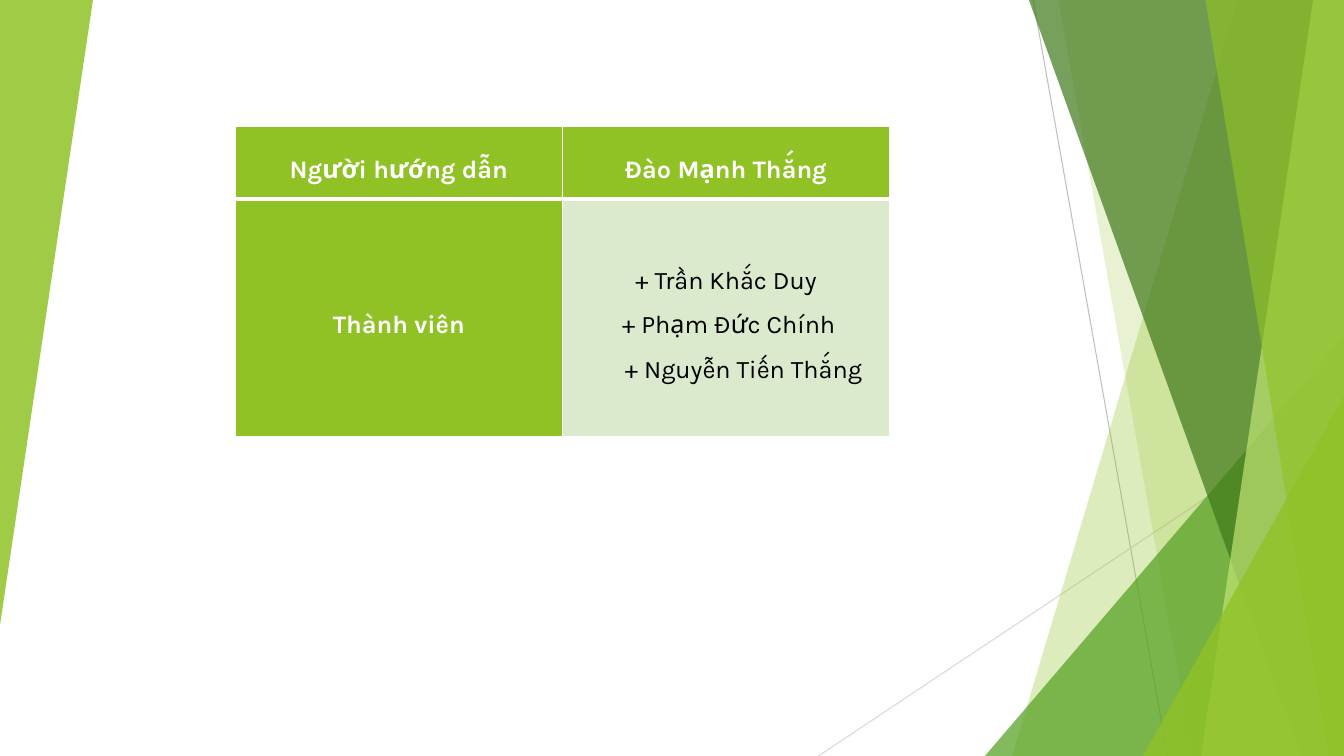
from lxml.etree import SubElement
from pptx import Presentation
from pptx.dml.color import RGBColor
from pptx.enum.shapes import MSO_CONNECTOR, MSO_SHAPE
from pptx.enum.text import MSO_ANCHOR, PP_ALIGN
from pptx.oxml.ns import qn
from pptx.util import Pt

WIDTH, HEIGHT = 960, 540
WHITE = RGBColor(0xFF, 0xFF, 0xFF)
BLACK = RGBColor(0, 0, 0)
LIME = RGBColor(0x90, 0xC2, 0x26)
PALE_LIME = RGBColor(0xC0, 0xE4, 0x74)
GREEN = RGBColor(0x54, 0xA0, 0x21)
DARK_GREEN = RGBColor(0x3F, 0x78, 0x19)
MINT = RGBColor(0xDB, 0xE9, 0xCD)
GRAY = RGBColor(0xBF, 0xBF, 0xBF)
LIGHT_GRAY = RGBColor(0xD9, 0xD9, 0xD9)


def paint(shape, color, opacity):
    """Give a shape a translucent fill with no outline or shadow."""
    shape.shadow.inherit = False
    shape.fill.solid()
    shape.fill.fore_color.rgb = color
    shape.line.fill.background()
    color_node = shape.fill._xPr.find(qn("a:solidFill"))[0]
    SubElement(color_node, qn("a:alpha")).set("val", str(opacity * 1000))


def add_line(page, start, end, color):
    """Draw a thin straight line between two points."""
    points = [Pt(value) for value in (*start, *end)]
    line = page.shapes.add_connector(MSO_CONNECTOR.STRAIGHT, *points)
    line.line.color.rgb = color
    line.line.width = Pt(0.75)
    SubElement(line._element.spPr, qn("a:effectLst"))


def add_band(page, top_x, bottom_x, color, opacity):
    """Draw a full-height band from a slanted left edge to the slide's right edge."""
    builder = page.shapes.build_freeform(Pt(top_x), 0, 1.0)
    corners = [(WIDTH, 0), (WIDTH, HEIGHT), (bottom_x, HEIGHT)]
    builder.add_line_segments([(Pt(x), Pt(y)) for x, y in corners], close=True)
    paint(builder.convert_to_shape(), color, opacity)


def add_wedge(page, left, top, width, height, color, opacity, rotation=0):
    """Draw a right triangle with its tip above its right corner."""
    wedge = page.shapes.add_shape(
        MSO_SHAPE.ISOSCELES_TRIANGLE, Pt(left), Pt(top), Pt(width), Pt(height))
    wedge.adjustments[0] = 1
    wedge.rotation = rotation
    paint(wedge, color, opacity)


def write(para, text, color=WHITE, bold=True, indent=0):
    """Write one centred line of text in a paragraph."""
    para.alignment = PP_ALIGN.CENTER
    para.line_spacing = 1.5
    para._p.get_or_add_pPr().set("marL", str(Pt(indent)))
    span = para.add_run()
    span.text = text
    span.font.name = "Karla"
    span.font.size = Pt(18)
    span.font.bold = bold
    span.font.color.rgb = color


def format_cell(cell, fill, top, bottom):
    """Set the margins, white borders and fill of a cell."""
    cell.vertical_anchor = MSO_ANCHOR.MIDDLE
    cell.margin_left = cell.margin_right = Pt(5)
    cell.margin_top = cell.margin_bottom = 0
    properties = cell._tc.get_or_add_tcPr()
    for side, width in (("L", 1), ("R", 1), ("T", top), ("B", bottom)):
        border = SubElement(properties, qn(f"a:ln{side}"), w=str(Pt(width)))
        solid = SubElement(border, qn("a:solidFill"))
        SubElement(solid, qn("a:srgbClr"), val=str(WHITE))
    cell.fill.solid()
    cell.fill.fore_color.rgb = fill


def add_team_table(page):
    """Add the table of the supervisor and the team members."""
    table = page.shapes.add_table(2, 2, Pt(168), Pt(90), Pt(467.4), Pt(222)).table
    for column in table.columns:
        column.width = Pt(233.7)
    for row, height in zip(table.rows, (52.2, 169.8)):
        row.height = Pt(height)
    for cell in table.iter_cells():
        format_cell(cell, LIME, 1, 3)
    for column in range(2):
        format_row_two = table.cell(1, column)
        properties = format_row_two._tc.get_or_add_tcPr()
        properties.find(qn("a:lnT")).set("w", str(Pt(3)))
        properties.find(qn("a:lnB")).set("w", str(Pt(1)))

    write(table.cell(0, 0).text_frame.paragraphs[0], "Người hướng dẫn")
    write(table.cell(0, 1).text_frame.paragraphs[0], "Đào Mạnh Thắng")
    write(table.cell(1, 0).text_frame.paragraphs[0], "Thành viên")
    members = table.cell(1, 1)
    members.fill.fore_color.rgb = MINT
    frame = members.text_frame
    write(frame.paragraphs[0], "+ Trần Khắc Duy", color=BLACK, bold=False)
    write(frame.add_paragraph(), "+ Phạm Đức Chính", color=BLACK, bold=False, indent=4)
    write(frame.add_paragraph(), "+ Nguyễn Tiến Thắng", color=BLACK, bold=False, indent=25)


def main():
    """Build the team slide and save it."""
    deck = Presentation()
    deck.slide_width, deck.slide_height = Pt(WIDTH), Pt(HEIGHT)
    page = deck.slides.add_slide(deck.slide_layouts[6])
    add_line(page, (738, 0), (834, HEIGHT), GRAY)
    add_line(page, (WIDTH, 290), (584.6, HEIGHT), LIGHT_GRAY)
    add_band(page, 884, 723, LIME, 30)
    add_band(page, 756, 852, LIME, 20)
    add_wedge(page, 703.5, 240, 256.5, 300, GREEN, 72)
    add_band(page, 735, 929.5, DARK_GREEN, 70)
    add_band(page, 938, 858, PALE_LIME, 70)
    add_band(page, 861, 949, LIME, 65)
    add_wedge(page, 816.5, 283, 143.5, 257, LIME, 80)
    add_wedge(page, 0, 0, 66.4, 446.4, LIME, 85, rotation=180)
    add_team_table(page)
    deck.save("out.pptx")


if __name__ == "__main__":
    main()
